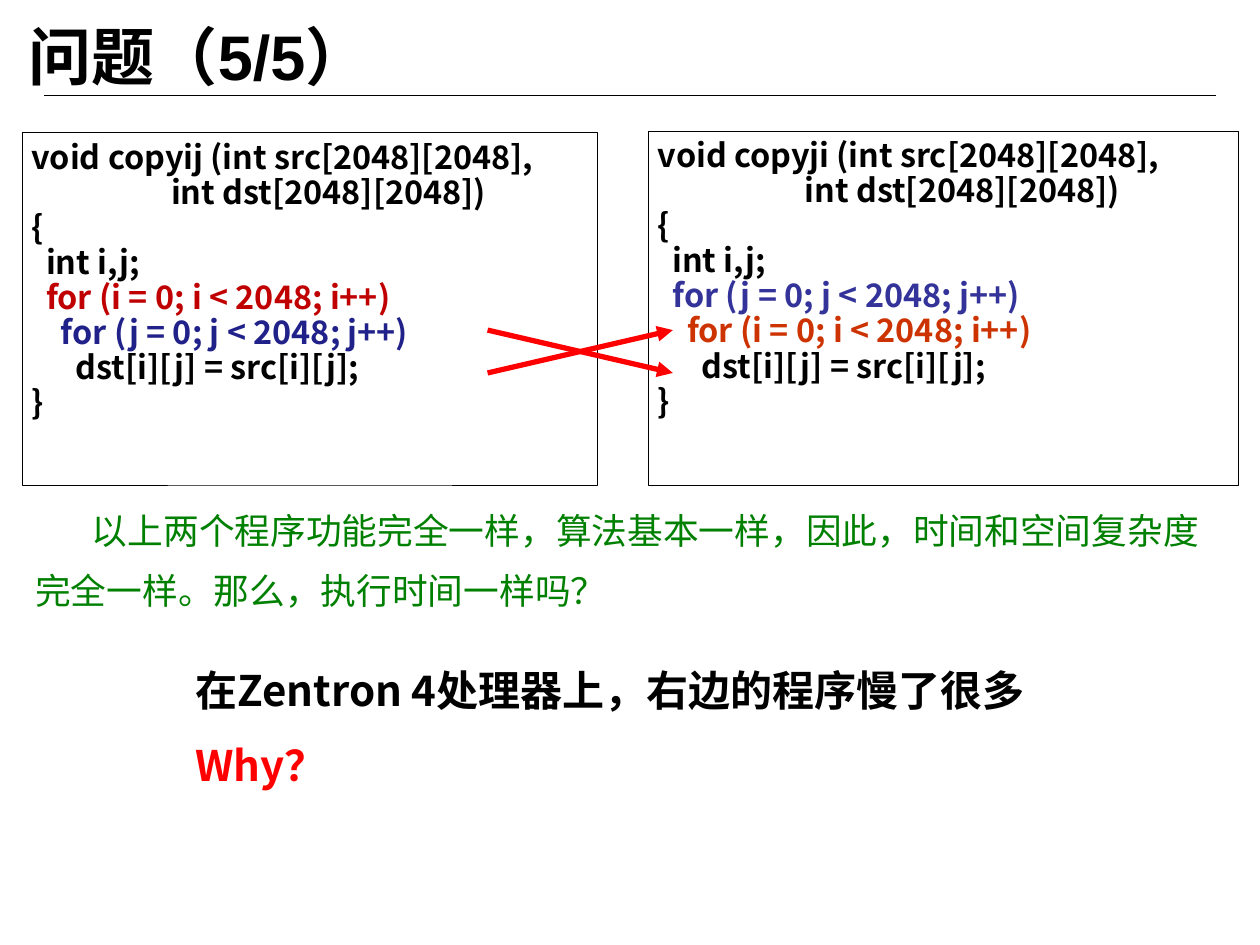
from dataclasses import dataclass

from lxml import etree
from pptx import Presentation
from pptx.dml.color import RGBColor
from pptx.enum.shapes import MSO_CONNECTOR, MSO_SHAPE
from pptx.enum.text import MSO_ANCHOR, MSO_AUTO_SIZE, PP_ALIGN
from pptx.oxml.ns import qn
from pptx.util import Inches, Pt

STRAIGHT = MSO_CONNECTOR.STRAIGHT
RECTANGLE = MSO_SHAPE.RECTANGLE
TOP, MIDDLE = MSO_ANCHOR.TOP, MSO_ANCHOR.MIDDLE
NO_FIT, GROW = MSO_AUTO_SIZE.NONE, MSO_AUTO_SIZE.SHAPE_TO_FIT_TEXT
LEFT = PP_ALIGN.LEFT


@dataclass(frozen=True)
class Theme:
    heading_font: str = "Arial"
    font: str = "Noto Sans CJK SC"
    ink: str = "000000"
    question: str = "008000"
    alert: str = "FF0000"
    left_outer: str = "C00000"
    left_inner: str = "21218A"
    right_outer: str = "333399"
    right_inner: str = "CC3300"
    title_size: float = 36
    question_size: float = 20.4
    code_size: float = 18.5
    answer_size: float = 24


theme = Theme()


def write(frame, paragraphs, size, font=theme.font, bold=False, spacing=1.0,
          inset=0.1, inset_y=0.05, anchor=TOP, fit=NO_FIT, indent=0):
    frame.word_wrap = True
    frame.auto_size = fit
    frame.vertical_anchor = anchor
    frame.margin_left = frame.margin_right = Inches(inset)
    frame.margin_top = frame.margin_bottom = Inches(inset_y)
    for number, pieces in enumerate(paragraphs):
        paragraph = frame.add_paragraph() if number else frame.paragraphs[0]
        paragraph.alignment = LEFT
        paragraph.line_spacing = spacing
        paragraph.space_before = paragraph.space_after = Pt(0)
        properties = paragraph._p.get_or_add_pPr()
        properties.set("marL", "0")
        properties.set("indent", str(Inches(indent)))
        etree.SubElement(properties, qn("a:buNone"))
        for position, (text, color) in enumerate(pieces):
            if position and fit == GROW:
                paragraph.add_line_break()
            run = paragraph.add_run()
            run.text = text
            run.font.size = Pt(size)
            run.font.bold = bold
            run.font.name = font
            run.font.color.rgb = RGBColor.from_string(color)
            etree.SubElement(run._r.get_or_add_rPr(), qn("a:ea"), typeface=theme.font)


def draw_line(start, end, color, width, arrow=False):
    line = slide.shapes.add_connector(STRAIGHT, *map(Inches, start + end))
    line.line.color.rgb = RGBColor.from_string(color)
    line.line.width = Pt(width)
    if arrow:
        etree.SubElement(line.line._get_or_add_ln(), qn("a:tailEnd"), type="triangle")
    etree.SubElement(line._element.spPr, qn("a:effectLst"))


prs = Presentation()
prs.slide_width, prs.slide_height = Inches(10), Inches(7.5)
slide = prs.slides.add_slide(prs.slide_layouts[1])

draw_line((0.35, 0.76), (9.65, 0.76), theme.ink, 0.75)

title = slide.shapes.title
title.left, title.top, title.width, title.height = map(Inches, (0.13, 0.09, 9.2, 0.7))
write(title.text_frame, [[("问题（5/5）", theme.ink)]], theme.title_size,
      font=theme.heading_font, bold=True, anchor=MIDDLE)

question = slide.placeholders[1]
question.left, question.top, question.width, question.height = map(
    Inches, (0.18, 3.85, 9.65, 1.08))
write(question.text_frame,
      [[("以上两个程序功能完全一样，算法基本一样，因此，时间和空间复杂度"
         "完全一样。那么，执行时间一样吗？", theme.question)]],
      theme.question_size, spacing=1.4, indent=0.45)

programs = [
    ("copyji", "j", "i", 20, theme.right_outer, theme.right_inner, (5.15, 1.04, 4.68, 2.81)),
    ("copyij", "i", "j", 19, theme.left_outer, theme.left_inner, (0.18, 1.05, 4.56, 2.8)),
]
for function, outer, inner, margin, outer_color, inner_color, place in programs:
    listing = slide.shapes.add_shape(RECTANGLE, *map(Inches, place))
    listing.shadow.inherit = False
    listing.fill.background()
    listing.line.color.rgb = RGBColor.from_string(theme.ink)
    listing.line.width = Pt(0.5)
    code = [
        (f"void {function} (int src[2048][2048],", theme.ink),
        (" " * margin + "int dst[2048][2048])", theme.ink),
        ("{", theme.ink),
        ("  int i,j;", theme.ink),
        (f"  for ({outer} = 0; {outer} < 2048; {outer}++)", outer_color),
        (f"    for ({inner} = 0; {inner} < 2048; {inner}++)", inner_color),
        ("      dst[i][j] = src[i][j];", theme.ink),
        ("}", theme.ink),
    ]
    write(listing.text_frame, [[line] for line in code], theme.code_size,
          bold=True, spacing=0.9, inset=0.07, inset_y=0.07)

for start_y, end_y in ((2.62, 2.96), (2.96, 2.62)):
    draw_line((3.87, start_y), (5.34, end_y), theme.alert, 3, arrow=True)

answer = slide.shapes.add_textbox(*map(Inches, (1.51, 5.03, 7.33, 1.88)))
write(answer.text_frame,
      [[("在Zentron 4处理器上，右边的程序慢了很多", theme.ink), ("Why？", theme.alert)]],
      theme.answer_size, bold=True, spacing=1.5, inset=0.04, inset_y=0.04, fit=GROW)

prs.save("out.pptx")
